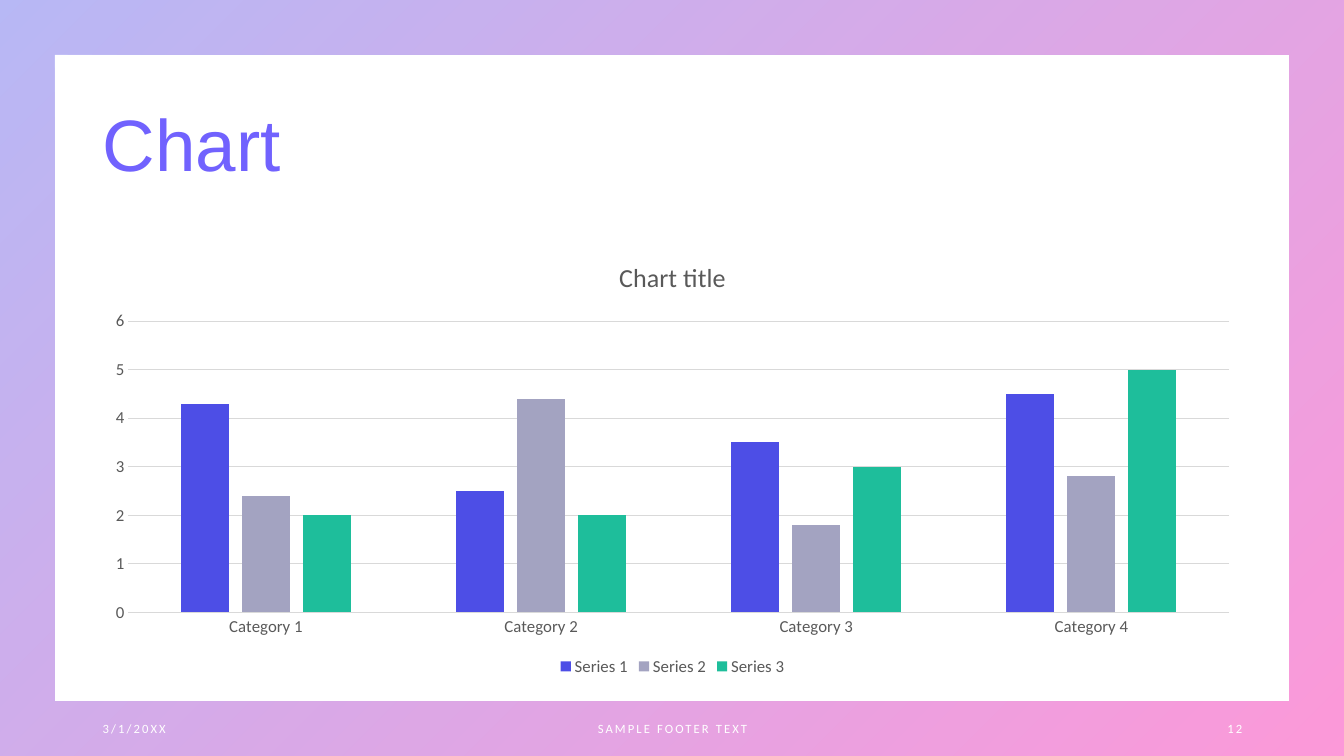
import lxml.etree
import pptx
import pptx.chart.data
import pptx.dml.color
import pptx.enum.chart
import pptx.enum.shapes
import pptx.enum.text
import pptx.oxml.ns
import pptx.util
from dataclasses import dataclass

Inches = pptx.util.Inches
Pt = pptx.util.Pt
Align = pptx.enum.text.PP_ALIGN


@dataclass(frozen=True)
class Theme:
    title_font: str = "Arial"
    body_font: str = "Calibri"
    title: str = "7162FE"
    footer: str = "FFFFFF"
    label: str = "595959"
    grid: str = "D9D9D9"
    frame: tuple = ("4D4EE6", "F900A0")
    series: tuple = ("4D4EE6", "A3A3C1", "1EBE9B")
    title_size: float = 52
    chart_title_size: float = 18.6
    label_size: float = 12
    footer_size: float = 9


def rgb(value):
    return pptx.dml.color.RGBColor.from_string(value)


class SlideBuilder:
    def __init__(self, slide, theme):
        self.slide = slide
        self.theme = theme

    def style_font(self, font, name, size, color):
        font.name = name
        font.size = Pt(size)
        font.color.rgb = rgb(color)

    def style_label(self, font, size=None):
        self.style_font(font, self.theme.body_font, size or self.theme.label_size, self.theme.label)

    def style_line(self, line):
        line.color.rgb = rgb(self.theme.grid)
        line.width = Pt(0.75)

    def frame(self, width, height, thickness, opacity):
        """Border around the slide with a translucent diagonal gradient."""
        shape = self.slide.shapes.add_shape(
            pptx.enum.shapes.MSO_SHAPE.FRAME, 0, 0, Inches(width), Inches(height))
        shape.adjustments[0] = thickness
        shape.shadow.inherit = False
        shape.line.fill.background()
        shape.fill.gradient()
        shape.fill.gradient_angle = 315
        for stop, color in zip(shape.fill.gradient_stops, self.theme.frame):
            stop.color.rgb = rgb(color)
        for color in shape.element.spPr.iter(pptx.oxml.ns.qn("a:srgbClr")):
            alpha = lxml.etree.SubElement(color, pptx.oxml.ns.qn("a:alpha"))
            alpha.set("val", str(opacity * 1000))

    def text(self, content, left, top, width, height, font, size, color,
             align=Align.LEFT, line_spacing=1.0, tracking=0):
        box = self.slide.shapes.add_textbox(
            Inches(left), Inches(top), Inches(width), Inches(height))
        frame = box.text_frame
        frame.word_wrap = True
        frame.vertical_anchor = pptx.enum.text.MSO_ANCHOR.MIDDLE
        frame.text = content
        para = frame.paragraphs[0]
        para.alignment = align
        para.line_spacing = line_spacing
        span = para.runs[0]
        self.style_font(span.font, font, size, color)
        if tracking:
            span.font._element.set("spc", str(round(tracking * 100)))

    def column_chart(self, title, categories, series, left, top, width, height):
        data = pptx.chart.data.CategoryChartData()
        data.categories = categories
        for name, values in series.items():
            data.add_series(name, values)
        chart = self.slide.shapes.add_chart(
            pptx.enum.chart.XL_CHART_TYPE.COLUMN_CLUSTERED,
            Inches(left), Inches(top), Inches(width), Inches(height), data).chart
        self.style_label(chart.font)

        # Title and legend
        chart.has_title = True
        chart.chart_title.include_in_layout = False
        chart.chart_title.text_frame.text = title
        span = chart.chart_title.text_frame.paragraphs[0].runs[0]
        self.style_label(span.font, self.theme.chart_title_size)
        span.font.bold = False
        chart.has_legend = True
        chart.legend.position = pptx.enum.chart.XL_LEGEND_POSITION.BOTTOM
        chart.legend.include_in_layout = False
        self.style_label(chart.legend.font)

        # Axes
        for axis in (chart.category_axis, chart.value_axis):
            axis.major_tick_mark = pptx.enum.chart.XL_TICK_MARK.NONE
            axis.minor_tick_mark = pptx.enum.chart.XL_TICK_MARK.NONE
            self.style_label(axis.tick_labels.font)
        self.style_line(chart.category_axis.format.line)
        chart.value_axis.format.line.fill.background()
        chart.value_axis.has_major_gridlines = True
        self.style_line(chart.value_axis.major_gridlines.format.line)
        chart.value_axis.minimum_scale = 0
        chart.value_axis.maximum_scale = 6
        chart.value_axis.major_unit = 1

        # Columns
        plot = chart.plots[0]
        plot.vary_by_categories = False
        plot.gap_width = 219
        plot.overlap = -27
        for columns, color in zip(plot.series, self.theme.series):
            columns.format.fill.solid()
            columns.format.fill.fore_color.rgb = rgb(color)
            columns.invert_if_negative = False


def main():
    theme = Theme()
    width, height = 13.33, 7.5
    margin, content_width = 0.92, 11.5
    deck = pptx.Presentation()
    deck.slide_width = Inches(width)
    deck.slide_height = Inches(height)
    page = SlideBuilder(deck.slides.add_slide(deck.slide_layouts[6]), theme)

    # Background frame and title
    page.frame(width, height, thickness=0.072, opacity=40)
    page.text("Chart", margin, 0.74, content_width, 1.45,
              theme.title_font, theme.title_size, theme.title, line_spacing=0.9)

    # Chart
    page.column_chart(
        "Chart title",
        [f"Category {number}" for number in range(1, 5)],
        {"Series 1": (4.3, 2.5, 3.5, 4.5),
         "Series 2": (2.4, 4.4, 1.8, 2.8),
         "Series 3": (2, 2, 3, 5)},
        margin, 2.38, content_width, 4.37)

    # Footer: date, text and page number
    for content, left, box_width, align in (
            ("3/1/20XX", margin, 3, Align.LEFT),
            ("SAMPLE FOOTER TEXT", 4.42, 4.5, Align.CENTER),
            ("12", 9.42, 3, Align.RIGHT)):
        page.text(content, left, 7.03, box_width, 0.4, theme.body_font,
                  theme.footer_size, theme.footer, align, tracking=1.5)

    deck.save("out.pptx")


if __name__ == "__main__":
    main()
